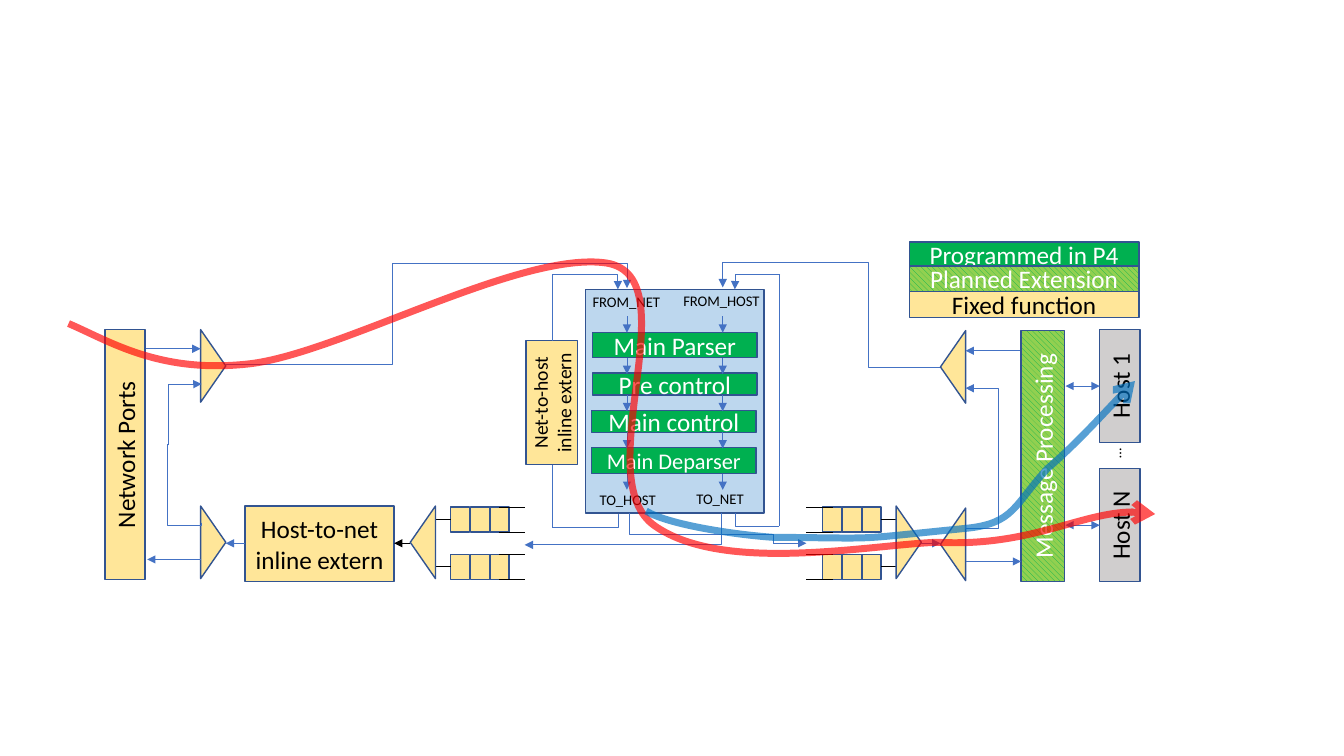
import dataclasses
import typing

import lxml.etree
import pptx
import pptx.dml.color
import pptx.enum.dml
import pptx.enum.shapes
import pptx.enum.text
import pptx.oxml.ns
import pptx.util

PX = 9144
COLOURS = {
    "fixed": "FFE699", "program": "00B050", "planned": "92D050", "host": "D0CECE",
    "pipeline": "BDD7EE", "edge": "325491", "wire": "4472C4", "black": "000000",
    "white": "FFFFFF", "network_flow": "FF0000", "host_flow": "0070C0",
}
SHAPES = pptx.enum.shapes.MSO_SHAPE
CONNECTORS = pptx.enum.shapes.MSO_CONNECTOR
ALIGN = pptx.enum.text.PP_ALIGN


def emu(length):
    return round(length * PX)


def colour(name):
    return pptx.dml.color.RGBColor.from_string(COLOURS[name])


def add_element(parent, tag, **attributes):
    element = lxml.etree.SubElement(parent, pptx.oxml.ns.qn(tag))
    for name, value in attributes.items():
        element.set(name, str(value))
    return element


def child(parent, tag):
    return parent.find(pptx.oxml.ns.qn(tag))


def write(shape, text, size, ink, align):
    frame = shape.text_frame
    frame.text = text
    para = frame.paragraphs[0]
    para.alignment = align
    font = para.runs[0].font
    font.name = "Calibri"
    font.size = pptx.util.Pt(size)
    font.color.rgb = colour(ink)


def style_wire(wire, ink, head, tail):
    wire.line.color.rgb = colour(ink)
    wire.line.width = pptx.util.Pt(0.5)
    properties = wire.element.spPr
    outline = child(properties, "a:ln")
    if head:
        add_element(outline, "a:headEnd", type="triangle")
    if tail:
        add_element(outline, "a:tailEnd", type="triangle")
    add_element(properties, "a:effectLst")


def bezier(start, first, second, end, steps=24):
    for step in range(1, steps + 1):
        t = step / steps
        weights = ((1 - t) ** 3, 3 * t * (1 - t) ** 2, 3 * t * t * (1 - t), t ** 3)
        yield tuple(sum(w * p[axis] for w, p in zip(weights, (start, first, second, end)))
                    for axis in (0, 1))


@dataclasses.dataclass
class Region:
    page: typing.Any
    left: int
    top: int

    def frame(self, box, turn):
        x, y, w, h = box
        if turn:
            x, y, w, h = x + (w - h) / 2, y + (h - w) / 2, h, w
        return emu(self.left + x), emu(self.top + y), emu(w), emu(h)

    def block(self, box, fill, text="", size=18, ink="black", turn=0, kind=SHAPES.RECTANGLE):
        shape = self.page.shapes.add_shape(kind, *self.frame(box, turn))
        shape.rotation = turn
        shape.shadow.inherit = False
        if fill == "planned":
            shape.fill.patterned()
            shape.fill.pattern = pptx.enum.dml.MSO_PATTERN.WIDE_DOWNWARD_DIAGONAL
            shape.fill.fore_color.rgb = colour("program")
            shape.fill.back_color.rgb = colour("planned")
        else:
            shape.fill.solid()
            shape.fill.fore_color.rgb = colour(fill)
        shape.line.color.rgb = colour("edge")
        shape.line.width = pptx.util.Pt(1)
        if text:
            shape.text_frame.vertical_anchor = pptx.enum.text.MSO_ANCHOR.MIDDLE
            write(shape, text, size, ink, ALIGN.CENTER)
        return shape

    def triangle(self, x, y, turn):
        self.block((x, y, 25, 72), "fixed", turn=turn, kind=SHAPES.ISOSCELES_TRIANGLE)

    def label(self, box, text, align=ALIGN.LEFT, turn=0):
        shape = self.page.shapes.add_textbox(*self.frame(box, turn))
        shape.rotation = turn
        shape.text_frame.word_wrap = bool(turn)
        shape.text_frame.auto_size = pptx.enum.text.MSO_AUTO_SIZE.SHAPE_TO_FIT_TEXT
        write(shape, text, 10.5, "black", align)

    def wire(self, start, end, head=False, tail=True, ink="wire", begin=None, finish=None):
        x1, y1 = emu(self.left + start[0]), emu(self.top + start[1])
        x2, y2 = emu(self.left + end[0]), emu(self.top + end[1])
        wire = self.page.shapes.add_connector(CONNECTORS.STRAIGHT, x1, y1, x2, y2)
        if begin:
            wire.begin_connect(*begin)
        if finish:
            wire.end_connect(*finish)
        wire.begin_x, wire.begin_y, wire.end_x, wire.end_y = x1, y1, x2, y2
        style_wire(wire, ink, head, tail)

    def elbow(self, box, turn, flip, bends=(), tail=True):
        x, y, w, h = self.frame(box, 0)
        wire = self.page.shapes.add_connector(CONNECTORS.ELBOW, x, y, x + w, y + h)
        properties = wire.element.spPr
        transform = child(properties, "a:xfrm")
        transform.set("rot", str(turn * 60000))
        for axis in flip:
            transform.set("flip" + axis, "1")
        geometry = child(properties, "a:prstGeom")
        geometry.set("prst", f"bentConnector{len(bends) + 2}")
        guides = child(geometry, "a:avLst")
        for number, bend in enumerate(bends, 1):
            add_element(guides, "a:gd", name=f"adj{number}", fmla=f"val {round(bend * 100000)}")
        style_wire(wire, "wire", False, tail)

    def flow(self, knots, ink):
        points = [(emu(self.left + x), emu(self.top + y)) for x, y in knots]
        builder = self.page.shapes.build_freeform(*points[0], scale=1.0)
        for index in range(0, len(points) - 1, 3):
            builder.add_line_segments(list(bezier(*points[index:index + 4])), close=False)
        curve = builder.convert_to_shape()
        track = next(curve.element.iter(pptx.oxml.ns.qn("a:path")))
        for segment in list(track)[1:]:
            track.remove(segment)
        for index, (x, y) in enumerate(points[1:]):
            if index % 3 == 0:
                segment = add_element(track, "a:cubicBezTo")
            add_element(segment, "a:pt", x=x - curve.left, y=y - curve.top)
        curve.shadow.inherit = False
        curve.fill.background()
        curve.line.color.rgb = colour(ink)
        curve.line.width = pptx.util.Pt(5)
        outline = child(curve.element.spPr, "a:ln")
        add_element(child(child(outline, "a:solidFill"), "a:srgbClr"), "a:alpha", val=65000)
        add_element(outline, "a:tailEnd", type="arrow")


def draw_queues(page, left, top, mirrored):
    region = Region(page, left, top)
    width = 89

    def across(offset):
        return width - offset if mirrored else offset

    for y in (0, 47):
        for cell in range(3):
            start = 15 + cell * 19.5
            region.block((min(across(start), across(start + 19)), y, 19, 25), "fixed")
        for rail in (y, y + 25):
            region.wire((across(63), rail), (across(width), rail), tail=False, ink="black")
        region.wire((across(15), y + 12), (across(0), y + 12), tail=False, ink="black")
    region.triangle(width if mirrored else -25, -1, 90 if mirrored else 270)


def draw_network_side(page, left, top):
    region = Region(page, left, top)
    extern = region.block((143, 202, 148, 75), "fixed", "Host-to-net inline extern")
    region.wire((307, 239), (291, 239), ink="black", finish=(extern, 3))
    for y in (27, 202):
        region.triangle(99, y, 90)
    region.elbow((44, 163, 78, 33), 270, "V", [-0.036], tail=False)
    region.elbow((53, 95, 61, 33), 90, "HV", [0.997])
    region.wire((45, 46), (99, 46))
    region.wire((99, 255), (46, 255))
    region.wire((143, 239), (124, 239), begin=(extern, 1))
    region.block((4, 27, 40, 248), "fixed", "Network Ports", turn=270)
    region.elbow((124, -14, 398, 76), 0, "V", [0.415, 1.329])


def draw_host_side(page, left, top):
    region = Region(page, left, top)
    region.block((113, 28, 43, 249), "planned", "Message Processing", ink="white", turn=270)
    region.elbow((-183, -15, 216, 79), 180, "", [0.333, 1.317])
    for y in (28, 204):
        region.triangle(33, y, 270)
    region.elbow((35, 166, 78, 33), 270, "", [-0.036], tail=False)
    region.elbow((44, 99, 61, 33), 90, "H", [0.997])
    region.wire((58, 257), (113, 257))
    region.wire((112, 48), (58, 48))
    region.wire((14, 239), (33, 239))
    for name, y in (("Host 1", 27), ("Host N", 165)):
        host = region.block((191, y, 40, 112), "host", name, turn=270)
        region.wire((157, y + 56), (191, y + 56), head=True, finish=(host, 0))
    region.label((193, 139, 28, 26), "…", ALIGN.CENTER, 270)


def draw_pipeline(page, left, top):
    region = Region(page, left, top)
    region.block((81, 37, 177, 222), "pipeline")
    for name, x, y, height, size in (("Main Parser", 88, 80, 25, 18), ("Pre control", 88, 120, 22, 18),
                                     ("Main control", 87, 157, 22, 18), ("Main Deparser", 87, 194, 26, 16)):
        region.block((x, y, 163, height), "program", name, size, "white")
    for name, x, y, width in (("FROM_HOST", 168, 35, 98), ("TO_HOST", 85, 232, 78),
                              ("FROM_NET", 78, 36, 89), ("TO_NET", 181, 231, 68)):
        region.label((x, y, width, 28), name)
    for x in (122, 217):
        for y in (64, 105, 142, 179, 220):
            region.wire((x, y), (x, y + 16))


def draw_bypasses(page, left, top):
    region = Region(page, left, top)
    region.elbow((102, 177, 32, 195), 90, "")
    region.elbow((185, 198, 21, 143), 270, "H", tail=False)
    region.wire((267, 289), (267, 280), tail=False)
    region.elbow((229, 259, 44, 13), 0, "", [0.01], tail=False)
    region.elbow((229, 22, 45, 15), 180, "V", [0.994])
    region.wire((273, 272), (273, 22), tail=False)
    extern = region.block((22, 88, 51, 123), "fixed", "Net-to-host inline extern", 14, turn=270)
    region.elbow((48, 260, 65, 13), 0, "H", [-0.002], tail=False)
    region.elbow((48, 22, 65, 15), 180, "HV", [0.999])
    region.wire((48, 88), (48, 22), tail=False, begin=(extern, 3))
    region.wire((48, 273), (48, 211), tail=False, finish=(extern, 1))
    region.wire((267, 289), (300, 289))


def draw_flows(page, left, top):
    region = Region(page, left, top)
    region.flow([(8, 121), (48, 138), (98, 171), (187, 161), (276, 151), (457, 48), (542, 61),
                 (626, 75), (521, 275), (590, 322), (658, 369), (800, 341), (869, 338),
                 (962, 343), (1028, 298), (1086, 310)], "network_flow")
    region.flow([(581, 307), (602, 320), (665, 330), (706, 333), (823, 334), (778, 336), (900, 324),
                 (946, 319), (946, 301), (979, 265), (1007, 241), (1048, 196), (1066, 178)], "host_flow")


def draw_legend(page, left, top):
    region = Region(page, left, top)
    region.block((0, 0, 228, 25), "program", "Programmed in P4", ink="white")
    region.block((0, 49, 228, 26), "fixed", "Fixed function")
    region.block((0, 24, 228, 25), "planned", "Planned Extension", ink="white")


def main():
    deck = pptx.Presentation()
    deck.slide_width, deck.slide_height = emu(4000 / 3), emu(750)
    page = deck.slides.add_slide(deck.slide_layouts[6])
    draw_queues(page, 432, 503, False)
    draw_queues(page, 800, 503, True)
    draw_network_side(page, 100, 300)
    draw_host_side(page, 900, 300)
    draw_pipeline(page, 500, 250)
    draw_bypasses(page, 500, 250)
    draw_flows(page, 60, 200)
    draw_legend(page, 902, 240)
    deck.save("out.pptx")


if __name__ == "__main__":
    main()
